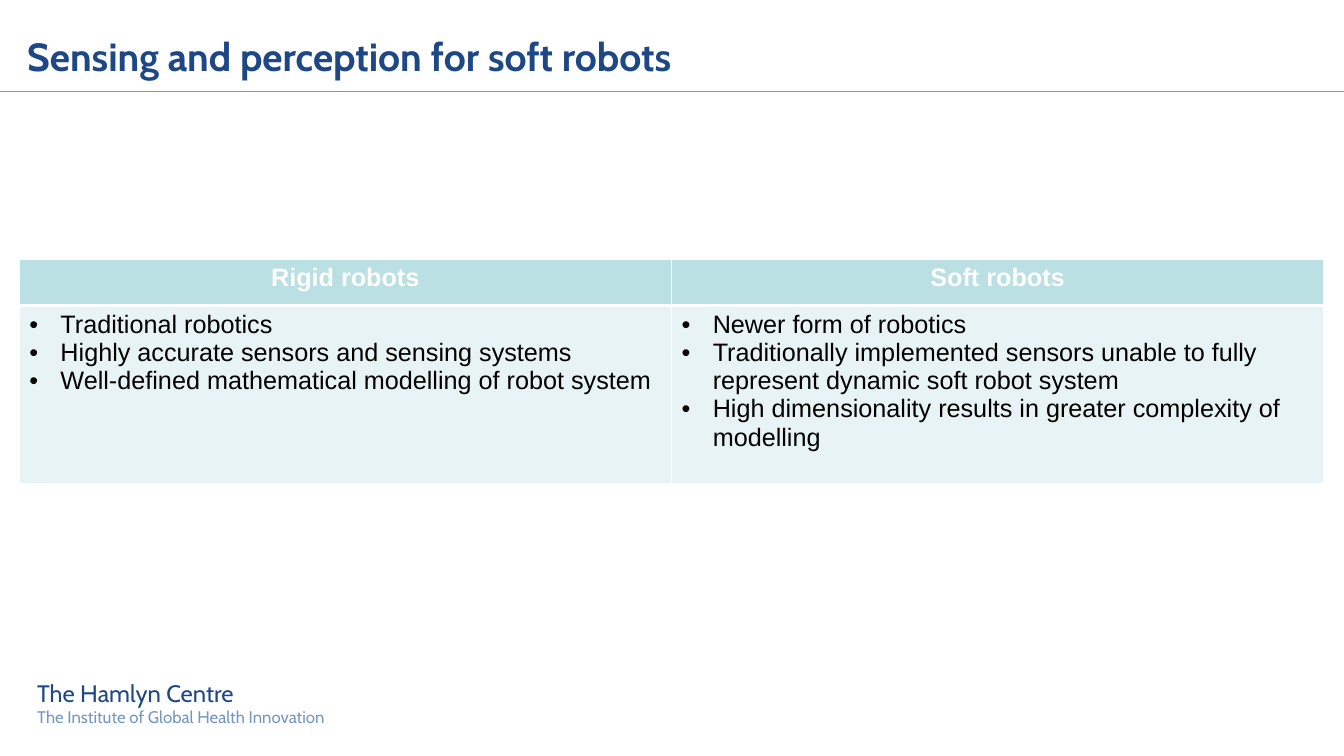
"""Build a slide comparing sensing in rigid and soft robots."""
from dataclasses import dataclass

from lxml.etree import SubElement
from pptx import Presentation
from pptx.dml.color import RGBColor
from pptx.enum.shapes import MSO_CONNECTOR
from pptx.enum.text import MSO_ANCHOR, MSO_AUTO_SIZE, PP_ALIGN
from pptx.oxml.ns import qn
from pptx.util import Inches, Pt

TITLE = "Sensing and perception for soft robots"
COMPARISON = {
    "Rigid robots": [
        "Traditional robotics",
        "Highly accurate sensors and sensing systems",
        "Well-defined mathematical modelling of robot system",
    ],
    "Soft robots": [
        "Newer form of robotics",
        "Traditionally implemented sensors unable to fully represent dynamic soft robot system",
        "High dimensionality results in greater complexity of modelling",
    ],
}
CENTRE = "The Hamlyn Centre"
INSTITUTE = "The Institute of Global Health Innovation"


@dataclass(frozen=True)
class Theme:
    """Hold the colours, fonts and type sizes."""
    navy: str = "1E4786"
    steel: str = "7598C2"
    white: str = "FFFFFF"
    black: str = "000000"
    header_fill: str = "BBE0E3"
    body_fill: str = "E7F3F4"
    brand_font: str = "Cabin"
    table_font: str = "Arial"
    title_size: float = 28
    table_size: float = 18
    centre_size: float = 17
    institute_size: float = 12


THEME = Theme()
SLIDE_WIDTH, SLIDE_HEIGHT = 13.33, 7.5
TABLE_LEFT, TABLE_TOP, TABLE_WIDTH = 0.19, 2.57, 12.94
ROW_HEIGHTS = (0.46, 1.77)
BULLET_INDENT = 0.31
RULE_TOP = 0.91
THIN, THICK = 1, 3


def style(para, name, size, color, bold=False):
    """Set the font of a whole paragraph."""
    para.font.name = name
    para.font.size = Pt(size)
    para.font.bold = bold
    para.font.color.rgb = RGBColor.from_string(color)


def add_title(page):
    """Place and format the title placeholder."""
    title = page.shapes.title
    title.left, title.top = Inches(0.17), Inches(0.22)
    title.width, title.height = Inches(11), Inches(0.67)
    frame = title.text_frame
    frame.text = TITLE
    frame.vertical_anchor = MSO_ANCHOR.MIDDLE
    para = frame.paragraphs[0]
    para.alignment = PP_ALIGN.LEFT
    style(para, THEME.brand_font, THEME.title_size, THEME.navy, True)


def add_rule(page):
    """Draw the line under the title."""
    rule = page.shapes.add_connector(
        MSO_CONNECTOR.STRAIGHT, 0, Inches(RULE_TOP), Inches(SLIDE_WIDTH), Inches(RULE_TOP))
    rule.line.color.rgb = RGBColor.from_string(THEME.steel)
    rule.line.width = Pt(0.75)
    SubElement(rule.element.spPr, qn("a:effectLst"))


def add_signature(page):
    """Write the centre and institute names."""
    box = page.shapes.add_textbox(Inches(0.27), Inches(6.68), Inches(3.25), Inches(0.59))
    frame = box.text_frame
    frame.word_wrap = False
    frame.auto_size = MSO_AUTO_SIZE.SHAPE_TO_FIT_TEXT
    frame.text = f"{CENTRE}\n{INSTITUTE}"
    centre, institute = frame.paragraphs
    style(centre, THEME.brand_font, THEME.centre_size, THEME.navy)
    style(institute, THEME.brand_font, THEME.institute_size, THEME.steel)


def format_cell(cell, fill, top, bottom):
    """Give a cell white borders and a solid fill."""
    properties = cell._tc.get_or_add_tcPr()
    for side, width in (("L", THIN), ("R", THIN), ("T", top), ("B", bottom)):
        border = SubElement(properties, qn(f"a:ln{side}"), w=str(Pt(width)))
        solid = SubElement(border, qn("a:solidFill"))
        SubElement(solid, qn("a:srgbClr"), val=THEME.white)
    cell.fill.solid()
    cell.fill.fore_color.rgb = RGBColor.from_string(fill)


def add_bullet(para):
    """Give a paragraph a bullet with a hanging indent."""
    properties = para._p.get_or_add_pPr()
    properties.set("marL", str(Inches(BULLET_INDENT)))
    properties.set("indent", str(-Inches(BULLET_INDENT)))
    SubElement(properties, qn("a:buFont"), typeface=THEME.table_font)
    SubElement(properties, qn("a:buChar"), char="•")


def add_comparison(page):
    """Build the two-column comparison table."""
    table = page.shapes.add_table(
        len(ROW_HEIGHTS), len(COMPARISON), Inches(TABLE_LEFT), Inches(TABLE_TOP),
        Inches(TABLE_WIDTH), Inches(sum(ROW_HEIGHTS))).table
    table.horz_banding = False
    for row, height in zip(table.rows, ROW_HEIGHTS):
        row.height = Inches(height)
    for column, (heading, points) in enumerate(COMPARISON.items()):
        header, body = table.cell(0, column), table.cell(1, column)
        format_cell(header, THEME.header_fill, THIN, THICK)
        format_cell(body, THEME.body_fill, THICK, THIN)
        header.text = heading
        para = header.text_frame.paragraphs[0]
        para.alignment = PP_ALIGN.CENTER
        style(para, THEME.table_font, THEME.table_size, THEME.white, True)
        body.text = "\n".join(points)
        for para in body.text_frame.paragraphs:
            add_bullet(para)
            style(para, THEME.table_font, THEME.table_size, THEME.black)


def main():
    """Create the deck and save it."""
    deck = Presentation()
    deck.slide_width, deck.slide_height = Inches(SLIDE_WIDTH), Inches(SLIDE_HEIGHT)
    page = deck.slides.add_slide(deck.slide_layouts[5])
    add_rule(page)
    add_signature(page)
    add_title(page)
    add_comparison(page)
    deck.save("out.pptx")


if __name__ == "__main__":
    main()
